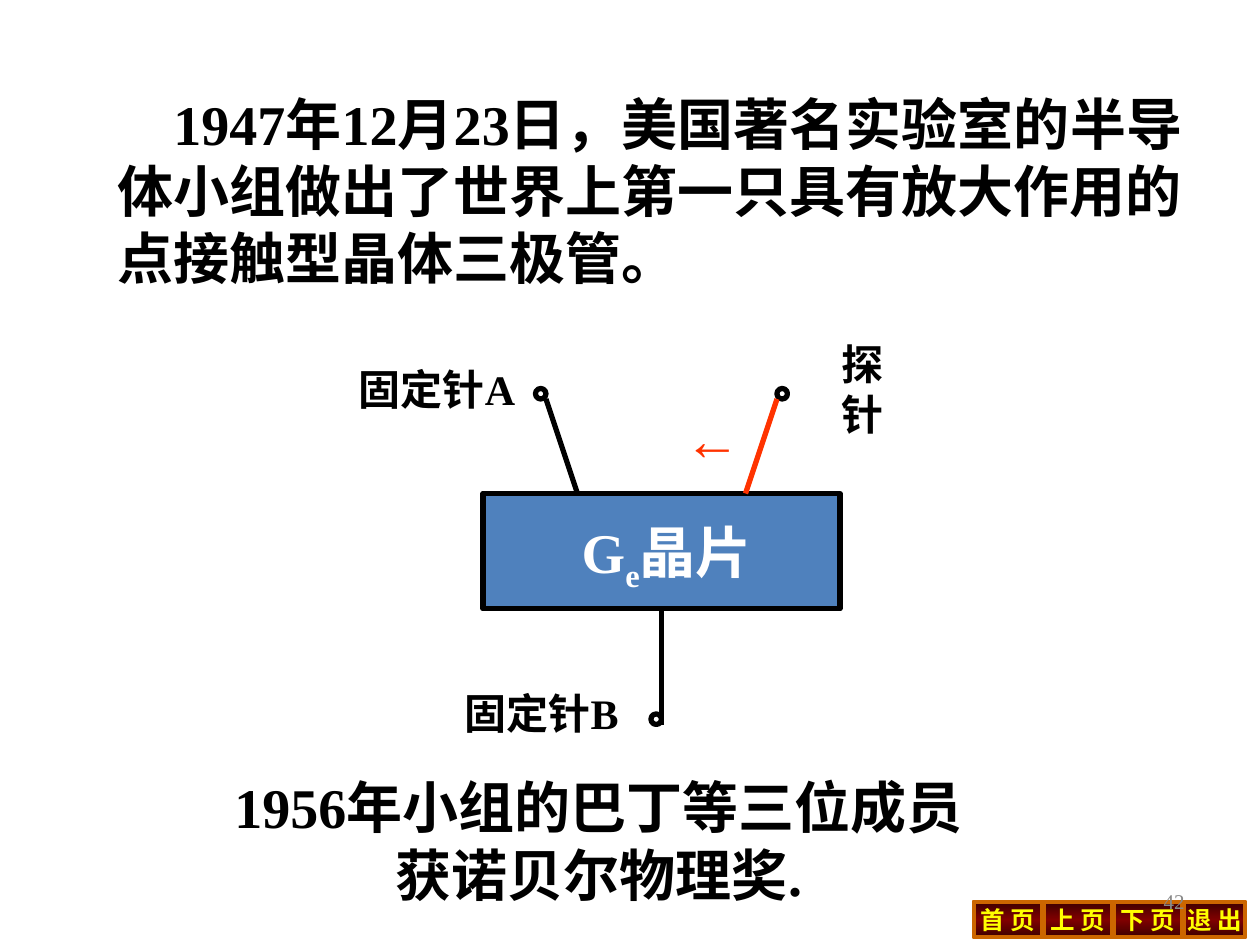
from copy import deepcopy

from pptx import Presentation
from pptx.dml.color import RGBColor
from pptx.enum import shapes, text
from pptx.oxml.ns import qn
from pptx.util import Pt

THEME = {
    "ink": "000000", "paper": "FFFFFF", "chip": "4F81BD", "probe": "FF3300",
    "number": "898989", "button text": "FFFF00", "button line": "CC6600",
    "button stops": [(0, "3B0000"), (0.5, "800000"), (1, "3B0000")],
    "serif": "Times New Roman", "arrow": "Arial", "chinese": "Noto Sans CJK SC",
    "body": 32, "label": 24, "button": 14, "small": 12, "stroke": 3,
}
LEFT, CENTER, RIGHT = (text.PP_ALIGN.LEFT, text.PP_ALIGN.CENTER, text.PP_ALIGN.RIGHT)

# Content: boxes are left, top, width, height in points
BUTTONS = [("首 页", 40), ("上 页", 40), ("下 页", 40), ("退 出", 36)]
BUTTON_LEFT, BUTTON_TOP, BUTTON_HEIGHT = 556, 515, 21

CHIP = (276, 282, 204, 66)
PIN_SIZE = 6
PINS = [(306, 222), (444, 222), (372, 408)]
WIRES = [
    ((378, 414), (378, 348), "ink"),
    ((312, 228), (330, 282), "ink"),
    ((444, 228), (426, 282), "probe"),
]

# Each text: box, paragraphs of (words, baseline) runs, format
TEXTS = [
    ((516, 500.5, 168, 29), [[("42", 0)]],
     {"size": "small", "color": "number", "bold": False, "align": RIGHT}),
    ((60, 47.5, 630, 122),
     [[("1947年12月23日，美国著名实验室的半导体小组做出了世界上第一只具有放大作用的点接触型晶体三极管。", 0)]],
     {"align": LEFT, "indent": 32}),
    ((384, 227.5, 46, 46), [[("←", 0)]], {"color": "probe", "font": "arrow"}),
    ((255.5, 389.5, 108, 36), [[("固定针B", 0)]], {"size": "label", "wrap": False}),
    ((462, 204, 62, 36), [[("探针", 0)]], {"size": "label", "wrap": False}),
    ((195, 204, 109.5, 36), [[("固定针A", 0)]], {"size": "label", "wrap": False}),
    ((318, 292, 126, 51), [[("G", 0), ("e", -25), ("晶片", 0)]], {"color": "paper"}),
    ((123, 438, 438.5, 84),
     [[("1956年小组的巴丁等三位成员", 0)], [("获诺贝尔物理奖.", 0)]], {"wrap": False}),
]
DEFAULT_FORMAT = {"size": "body", "color": "ink", "font": "serif", "bold": True,
                  "align": CENTER, "indent": 0, "wrap": True}


def color(name):
    return RGBColor.from_string(THEME[name])


def set_attributes(target, values):
    for name, value in values.items():
        setattr(target, name, value)


def write(shape, paragraphs, **changes):
    style = {**DEFAULT_FORMAT, **changes}
    frame = shape.text_frame
    set_attributes(frame, {"word_wrap": style["wrap"],
                           "vertical_anchor": text.MSO_ANCHOR.MIDDLE})
    for index, runs in enumerate(paragraphs):
        paragraph = frame.add_paragraph() if index else frame.paragraphs[0]
        paragraph.alignment = style["align"]
        if style["indent"]:
            paragraph._p.get_or_add_pPr().set("indent", str(Pt(style["indent"])))
        for words, baseline in runs:
            run = paragraph.add_run()
            run.text = words
            set_attributes(run.font, {"name": THEME[style["font"]],
                                      "size": Pt(THEME[style["size"]]),
                                      "bold": style["bold"]})
            run.font.color.rgb = color(style["color"])
            properties = run._r.get_or_add_rPr()
            east_asian = properties.makeelement(qn("a:ea"), {"typeface": THEME["chinese"]})
            properties.find(qn("a:latin")).addnext(east_asian)
            if baseline:
                properties.set("baseline", str(baseline * 1000))


def add_outlined(slide, kind, box, line, width):
    shape = slide.shapes.add_shape(kind, *map(Pt, box))
    shape.shadow.inherit = False
    shape.line.color.rgb = color(line)
    shape.line.width = Pt(width)
    return shape


def fill_gradient(shape, stops):
    shape.fill.gradient()
    shape.fill.gradient_angle = 90
    stop_list = shape._element.spPr.find(".//" + qn("a:gsLst"))
    stop_list.append(deepcopy(stop_list[0]))
    for stop, (position, value) in zip(shape.fill.gradient_stops, stops):
        stop.position = position
        stop.color.rgb = RGBColor.from_string(value)


def add_button(slide, label, left, width):
    button = add_outlined(slide, shapes.MSO_SHAPE.BEVEL,
                          (left, BUTTON_TOP, width, BUTTON_HEIGHT), "button line", 1)
    button.adjustments[0] = 0.05
    fill_gradient(button, THEME["button stops"])
    write(button, [[(label, 0)]], size="button", color="button text",
          font="chinese", wrap=False)


def add_wire(slide, start, end, line):
    wire = slide.shapes.add_connector(shapes.MSO_CONNECTOR.STRAIGHT, *map(Pt, start + end))
    wire.line.color.rgb = color(line)
    wire.line.width = Pt(THEME["stroke"])
    properties = wire._element.spPr
    properties.append(properties.makeelement(qn("a:effectLst"), {}))


def main():
    presentation = Presentation()
    set_attributes(presentation, {"slide_width": Pt(720), "slide_height": Pt(540)})
    slide = presentation.slides.add_slide(presentation.slide_layouts[6])

    # Navigation buttons, side by side
    left = BUTTON_LEFT
    for label, width in BUTTONS:
        add_button(slide, label, left, width)
        left += width

    # Transistor: chip, pins and wires
    chip = add_outlined(slide, shapes.MSO_SHAPE.RECTANGLE, CHIP, "ink", THEME["stroke"])
    chip.fill.solid()
    chip.fill.fore_color.rgb = color("chip")
    for corner in PINS:
        pin = add_outlined(slide, shapes.MSO_SHAPE.OVAL, corner + (PIN_SIZE, PIN_SIZE),
                           "ink", THEME["stroke"])
        pin.fill.background()
    for start, end, line in WIRES:
        add_wire(slide, start, end, line)

    # Running text, labels and page number
    for box, paragraphs, style in TEXTS:
        write(slide.shapes.add_textbox(*map(Pt, box)), paragraphs, **style)

    presentation.save("out.pptx")


if __name__ == "__main__":
    main()
